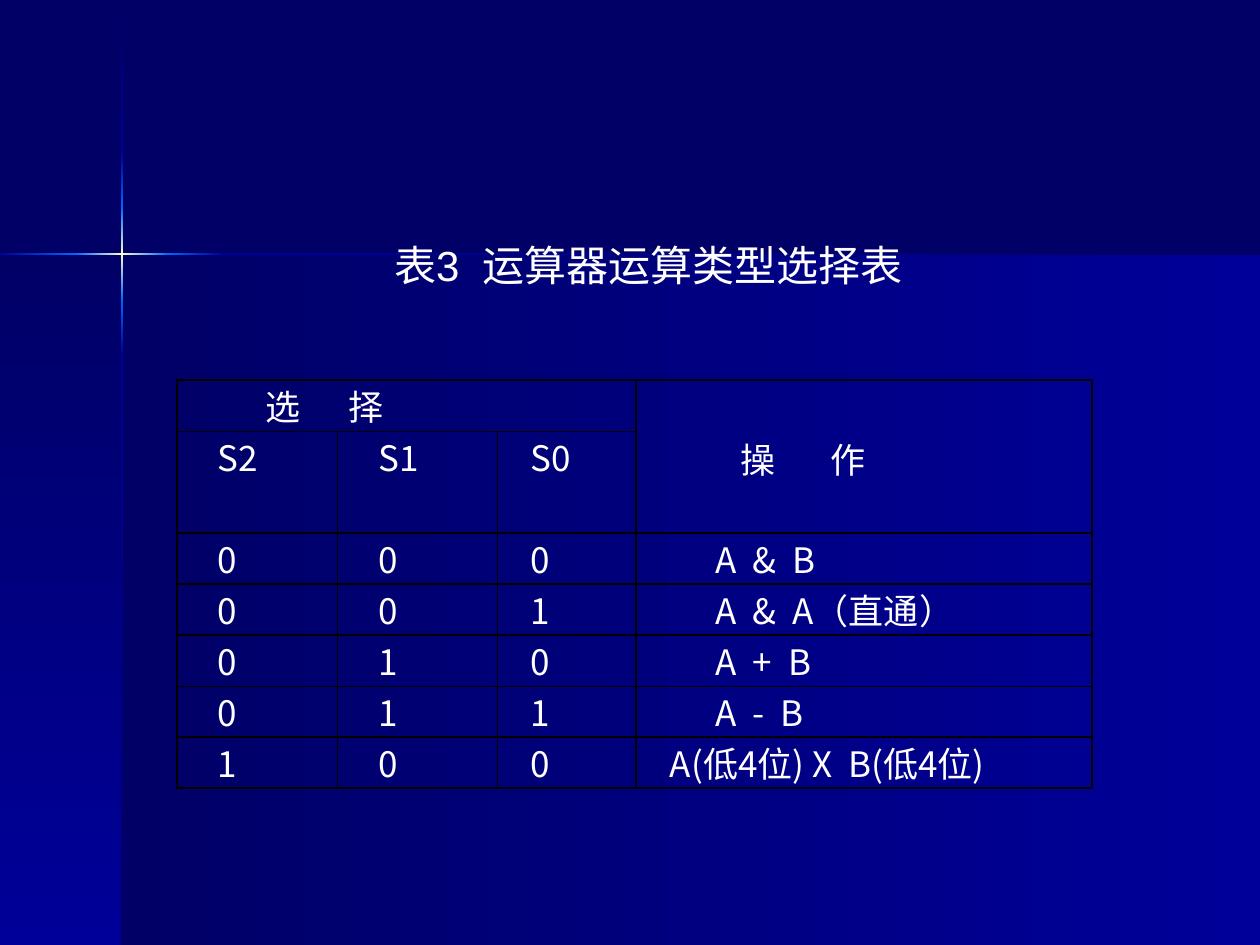
from lxml import etree
from pptx import Presentation
from pptx.dml.color import RGBColor
from pptx.enum.shapes import MSO_SHAPE
from pptx.enum.text import MSO_ANCHOR, PP_ALIGN
from pptx.oxml import parse_xml
from pptx.oxml.ns import nsdecls, qn
from pptx.util import Emu, Pt

RECTANGLE = MSO_SHAPE.RECTANGLE
TOP, MIDDLE = MSO_ANCHOR.TOP, MSO_ANCHOR.MIDDLE
LEFT = PP_ALIGN.LEFT

NAVY = RGBColor(0x00, 0x00, 0x66)
ROYAL = RGBColor(0x00, 0x00, 0x99)
AZURE = RGBColor(0x00, 0x66, 0xFF)
CREAM = RGBColor(0xFF, 0xFF, 0xCC)
WHITE = RGBColor(0xFF, 0xFF, 0xFF)
BLACK = RGBColor(0x00, 0x00, 0x00)

CJK_FONT = "Noto Sans CJK SC"
ACROSS, DOWN = 0, 90
OUTER, INNER, HAIRLINE = 1.5, 1, 0.25


def px(length):
    return Emu(round(length * 914400 / 126))


def write_text(frame, text, size, font=CJK_FONT, color=WHITE, gaps=()):
    """Write one line; gaps widen its spaces in turn, in points."""
    paragraph = frame.paragraphs[0]
    paragraph.alignment = LEFT
    words = text.split(" ") if gaps else [text]
    pieces = [(words[0], 0)]
    for gap, word in zip(gaps, words[1:]):
        pieces += [(" ", gap), (word, 0)]
    for piece, spacing in pieces:
        run = paragraph.add_run()
        run.text = piece
        run.font.size = Pt(size)
        run.font.name = font
        run.font.color.rgb = color
        properties = run._r.get_or_add_rPr()
        etree.SubElement(properties, qn("a:ea"), typeface=CJK_FONT)
        if spacing:
            properties.set("spc", str(round(spacing * 100)))


class SlideBuilder:
    def __init__(self, slide, background):
        self.slide = slide
        fill = slide.background.fill
        fill.solid()
        fill.fore_color.rgb = background

    def gradient_bar(self, left, top, width, height, colors, angle):
        bar = self.slide.shapes.add_shape(
            RECTANGLE, px(left), px(top), px(width), px(height))
        bar.shadow.inherit = False
        bar.line.fill.background()
        step = 100000 // (len(colors) - 1)
        stops = "".join(
            f'<a:gs pos="{i * step}"><a:srgbClr val="{color}"/></a:gs>'
            for i, color in enumerate(colors))
        gradient = parse_xml(
            f'<a:gradFill {nsdecls("a")} rotWithShape="1"><a:gsLst>{stops}</a:gsLst>'
            f'<a:lin ang="{angle * 60000}" scaled="0"/></a:gradFill>')
        bar._element.spPr.find(qn("a:prstGeom")).addnext(gradient)

    def text_box(self, left, top, width, height, text, margin, **style):
        frame = self.slide.shapes.add_textbox(
            px(left), px(top), px(width), px(height)).text_frame
        frame.word_wrap = True
        frame.vertical_anchor = TOP
        frame.margin_left, frame.margin_top = px(margin), px(8)
        write_text(frame, text, **style)

    def table(self, left, top, widths, heights, faint_rows, faint_columns):
        """Faint rows and columns are those that start with a hairline."""
        frame = self.slide.shapes.add_table(
            len(heights), len(widths), px(left), px(top),
            px(sum(widths)), px(sum(heights)))
        table = frame.table
        table.first_row = table.horz_banding = False
        for column, width in zip(table.columns, widths):
            column.width = px(width)
        for row, height in zip(table.rows, heights):
            row.height = px(height)

        def weight(edge, count, faint):
            if edge in (0, count):
                return OUTER
            return HAIRLINE if edge in faint else INNER

        rows, columns = len(heights), len(widths)
        for r in range(rows):
            for c in range(columns):
                self.cell_style(table.cell(r, c), {
                    "lnL": weight(c, columns, faint_columns),
                    "lnR": weight(c + 1, columns, faint_columns),
                    "lnT": weight(r, rows, faint_rows),
                    "lnB": weight(r + 1, rows, faint_rows)})
        return table

    def cell_style(self, cell, borders):
        cell.margin_top = cell.margin_bottom = 0
        properties = cell._tc.get_or_add_tcPr()
        for side, weight in borders.items():
            properties.append(parse_xml(
                f'<a:{side} {nsdecls("a")} w="{Pt(weight)}">'
                f'<a:solidFill><a:srgbClr val="{BLACK}"/></a:solidFill></a:{side}>'))
        cell.fill.background()

    def cell_text(self, cell, text, margin, anchor=TOP, gaps=()):
        cell.margin_left, cell.margin_right = px(margin), px(9)
        cell.vertical_anchor = anchor
        write_text(cell.text_frame, text, size=20, gaps=gaps)


def main():
    presentation = Presentation()
    presentation.slide_width, presentation.slide_height = px(1260), px(945)
    blank = presentation.slide_layouts[6]
    builder = SlideBuilder(presentation.slides.add_slide(blank), NAVY)

    # Background panels and the glowing cross
    flare = (AZURE, CREAM, AZURE)
    for bar in (
        (122, 255, 1138, 690, (NAVY, ROYAL), ACROSS),
        (0, 255, 122, 690, (NAVY, ROYAL), DOWN),
        (121, 1, 2, 151, (NAVY, ROYAL), DOWN),
        (121, 355, 2, 590, (ROYAL, NAVY), DOWN),
        (223, 253, 1037, 2, (ROYAL, NAVY), ACROSS),
        (121, 300, 2, 55, (AZURE, ROYAL), DOWN),
        (121, 152, 2, 56, (ROYAL, AZURE), DOWN),
        (121, 208, 2, 92, flare, DOWN),
        (0, 253, 76, 2, (ROYAL, AZURE), ACROSS),
        (168, 253, 55, 2, (AZURE, ROYAL), ACROSS),
        (76, 253, 92, 2, flare, ACROSS),
    ):
        builder.gradient_bar(*bar)

    # Operation table: headings
    row_height = 51
    operations = builder.table(
        177, 380, (160, 160, 139, 456),
        [row_height, 2 * row_height] + [row_height] * 5,
        faint_rows=(1, 5), faint_columns=(1, 2))
    select, operation = operations.cell(0, 0), operations.cell(0, 3)
    select.merge(operations.cell(0, 2))
    operation.merge(operations.cell(1, 3))
    operation.margin_top = px(4)
    builder.cell_text(select, "选 择", 89, gaps=(22.4,))
    builder.cell_text(operation, "操 作", 105, anchor=MIDDLE, gaps=(26.9,))

    # Operation table: select bits and their operations
    bit_margins = (41, 42, 34)
    bit_rows = [("S2", "S1", "S0"), "000", "001", "010", "011", "100"]
    for r, bits in enumerate(bit_rows, start=1):
        for c, (bit, margin) in enumerate(zip(bits, bit_margins)):
            builder.cell_text(operations.cell(r, c), bit, margin)
    wide = 4.5
    for r, (text, margin, gaps) in enumerate((
        ("A & B", 80, (wide, wide)),
        ("A & A（直通）", 80, (wide, wide)),
        ("A + B", 80, (wide, wide)),
        ("A - B", 80, (wide, wide)),
        ("A(低4位) X B(低4位)", 34, (0, wide)),
    ), start=2):
        builder.cell_text(operations.cell(r, 3), text, margin, gaps=gaps)

    # Table title
    builder.text_box(344, 232, 601, 102, "表3 运算器运算类型选择表",
                     margin=50, size=24, font="Arial", gaps=(6.7,))

    presentation.save("out.pptx")


if __name__ == "__main__":
    main()
